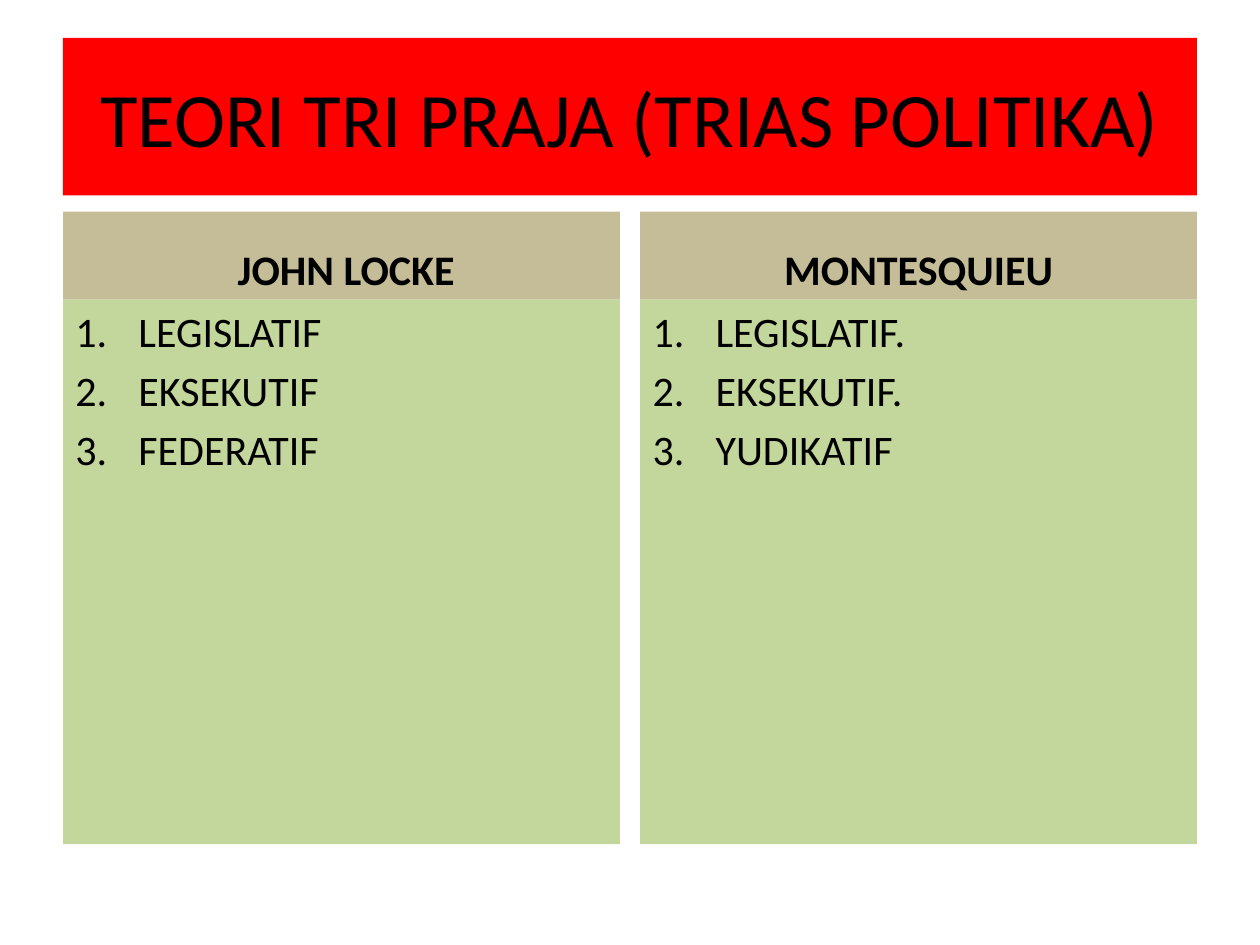
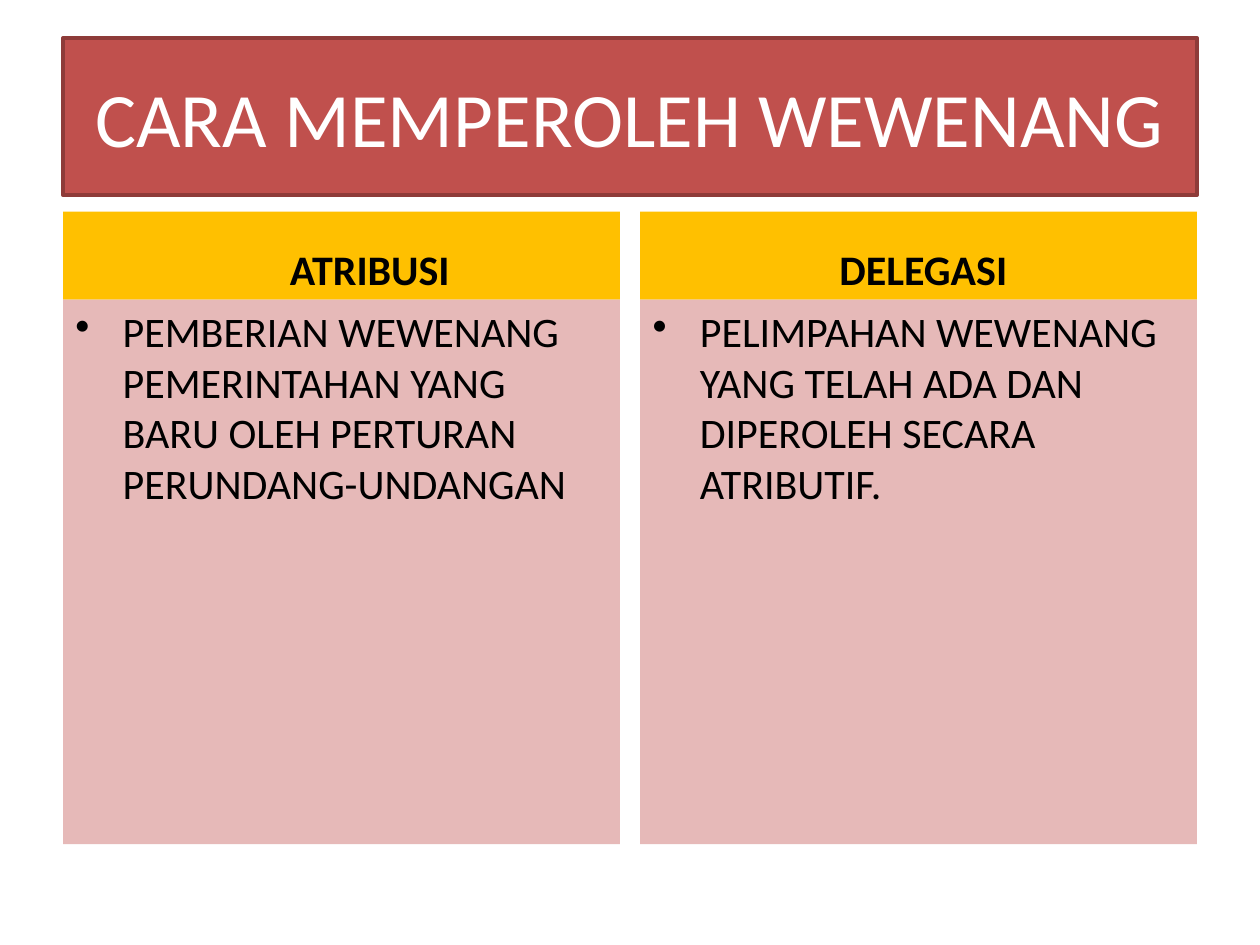
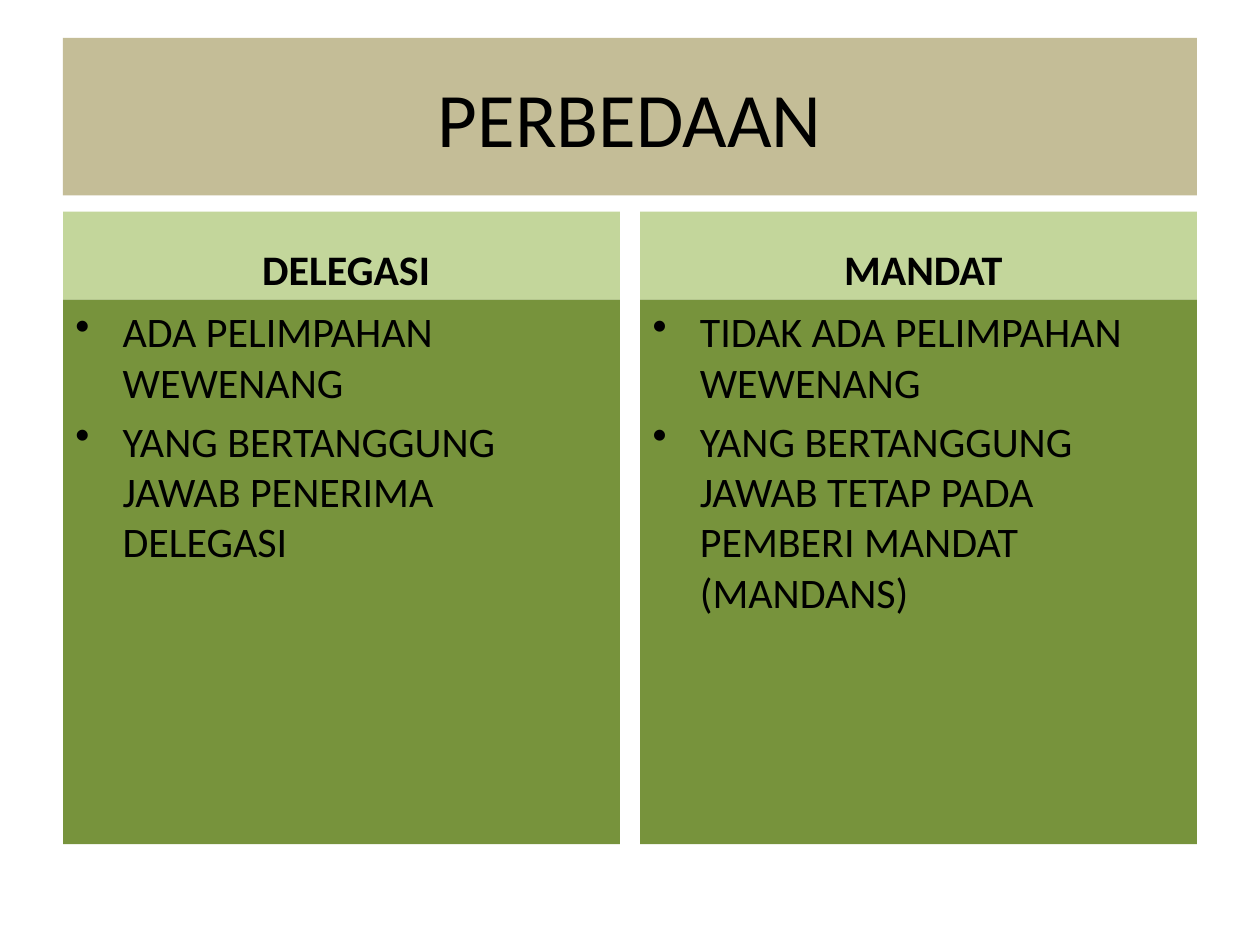
from dataclasses import dataclass
from typing import Optional

from lxml import etree
from pptx import Presentation
from pptx.dml.color import RGBColor
from pptx.enum import shapes, text
from pptx.oxml.ns import qn
from pptx.util import Pt

# Shared style
FONT = "Calibri"
BLACK, WHITE = "000000", "FFFFFF"
TAN, LIGHT_GREEN = "C4BD97", "C3D69B"
TITLE_SIZE, BODY_SIZE = 44, 24
SPACE_BEFORE = 0.2 * BODY_SIZE

# Shared layout, in points
SLIDE_WIDTH, SLIDE_HEIGHT = 720, 540
MARGIN = 36
CONTENT_WIDTH = SLIDE_WIDTH - 2 * MARGIN
TITLE_TOP, TITLE_HEIGHT = 21.6, 90
COLUMN_GAP = 11.6
COLUMN_WIDTH = (CONTENT_WIDTH - COLUMN_GAP) / 2
HEADING_TOP, HEADING_HEIGHT = 120.9, 50.35
BODY_TOP = HEADING_TOP + HEADING_HEIGHT
BODY_HEIGHT = 311.15


@dataclass(frozen=True)
class Box:
    left: float
    top: float
    width: float
    height: float


@dataclass(frozen=True)
class Marker:
    tag: str
    attribute: str
    value: str
    indent: float


@dataclass(frozen=True)
class Column:
    heading: str
    items: list[str]
    heading_indent: float = 0


@dataclass(frozen=True)
class Comparison:
    title: str
    title_fill: str
    heading_fill: str
    body_fill: str
    marker: Marker
    columns: list[Column]
    title_color: str = BLACK
    title_line: Optional[str] = None


NUMBER = Marker("a:buAutoNum", "type", "arabicPeriod", 36)
BULLET = Marker("a:buChar", "char", "•", 27)

COMPARISONS = [
    Comparison(
        "TEORI TRI PRAJA (TRIAS POLITIKA)", "FF0000", TAN, LIGHT_GREEN, NUMBER,
        [
            Column("JOHN LOCKE", ["LEGISLATIF", "EKSEKUTIF", "FEDERATIF"], 5.4),
            Column("MONTESQUIEU", ["LEGISLATIF.", "EKSEKUTIF.", "YUDIKATIF"]),
        ],
    ),
    Comparison(
        "CARA MEMPEROLEH WEWENANG", "C0504D", "FFC000", "E6B9B8", BULLET,
        [
            Column("ATRIBUSI", ["PEMBERIAN WEWENANG PEMERINTAHAN YANG BARU OLEH "
                                "PERTURAN PERUNDANG-UNDANGAN"], 32.5),
            Column("DELEGASI", ["PELIMPAHAN WEWENANG YANG TELAH ADA DAN "
                                "DIPEROLEH SECARA ATRIBUTIF."], 5.4),
        ],
        title_color=WHITE,
        title_line="8E3B39",
    ),
    Comparison(
        "PERBEDAAN", TAN, LIGHT_GREEN, "77933C", BULLET,
        [
            Column("DELEGASI", ["ADA PELIMPAHAN WEWENANG",
                                "YANG BERTANGGUNG JAWAB PENERIMA DELEGASI"], 5.4),
            Column("MANDAT", ["TIDAK ADA PELIMPAHAN WEWENANG",
                              "YANG BERTANGGUNG JAWAB TETAP PADA PEMBERI MANDAT (MANDANS)"], 5.4),
        ],
    ),
]


def rgb(color: str) -> RGBColor:
    return RGBColor.from_string(color)


def add_panel(slide, box: Box, fill: str, anchor, line: Optional[str] = None):
    """Add a filled rectangle and return its text frame."""
    shape = slide.shapes.add_shape(
        shapes.MSO_SHAPE.RECTANGLE,
        Pt(box.left), Pt(box.top), Pt(box.width), Pt(box.height))
    shape.shadow.inherit = False
    shape.fill.solid()
    shape.fill.fore_color.rgb = rgb(fill)
    if line:
        shape.line.color.rgb = rgb(line)
        shape.line.width = Pt(2)
    else:
        shape.line.fill.background()
    frame = shape.text_frame
    frame.word_wrap = True
    frame.vertical_anchor = anchor
    return frame


def write(paragraph, words: str, size: float = BODY_SIZE, color: str = BLACK,
          bold: bool = False, align=text.PP_ALIGN.CENTER, space: float = SPACE_BEFORE) -> None:
    paragraph.text = words
    paragraph.alignment = align
    paragraph.space_before = Pt(space)
    font = paragraph.font
    font.name, font.size, font.bold = FONT, Pt(size), bold
    font.color.rgb = rgb(color)


def indent(paragraph, left: float, first: float = 0) -> None:
    properties = paragraph._p.get_or_add_pPr()
    properties.set("marL", str(Pt(left)))
    properties.set("indent", str(Pt(first)))


def mark(paragraph, marker: Marker) -> None:
    """Hang the paragraph behind a number or bullet."""
    indent(paragraph, marker.indent, -marker.indent)
    element = etree.Element(qn(marker.tag))
    element.set(marker.attribute, marker.value)
    # The schema puts the bullet just before the default run properties
    paragraph._p.pPr.find(qn("a:defRPr")).addprevious(element)


def add_column(slide, left: float, column: Column, comparison: Comparison) -> None:
    heading = add_panel(slide, Box(left, HEADING_TOP, COLUMN_WIDTH, HEADING_HEIGHT),
                        comparison.heading_fill, text.MSO_ANCHOR.BOTTOM).paragraphs[0]
    write(heading, column.heading, bold=True)
    indent(heading, column.heading_indent)

    body = add_panel(slide, Box(left, BODY_TOP, COLUMN_WIDTH, BODY_HEIGHT),
                     comparison.body_fill, text.MSO_ANCHOR.TOP)
    for index, item in enumerate(column.items):
        paragraph = body.add_paragraph() if index else body.paragraphs[0]
        write(paragraph, item, align=text.PP_ALIGN.LEFT)
        mark(paragraph, comparison.marker)


def add_comparison(presentation, comparison: Comparison) -> None:
    slide = presentation.slides.add_slide(presentation.slide_layouts[6])
    # Title band
    title = add_panel(slide, Box(MARGIN, TITLE_TOP, CONTENT_WIDTH, TITLE_HEIGHT),
                      comparison.title_fill, text.MSO_ANCHOR.MIDDLE, comparison.title_line)
    write(title.paragraphs[0], comparison.title, TITLE_SIZE, comparison.title_color, space=0)
    # Two columns side by side
    for index, column in enumerate(comparison.columns):
        left = MARGIN + index * (COLUMN_WIDTH + COLUMN_GAP)
        add_column(slide, left, column, comparison)


def main() -> None:
    presentation = Presentation()
    presentation.slide_width = Pt(SLIDE_WIDTH)
    presentation.slide_height = Pt(SLIDE_HEIGHT)
    for comparison in COMPARISONS:
        add_comparison(presentation, comparison)
    presentation.save("out.pptx")


if __name__ == "__main__":
    main()
